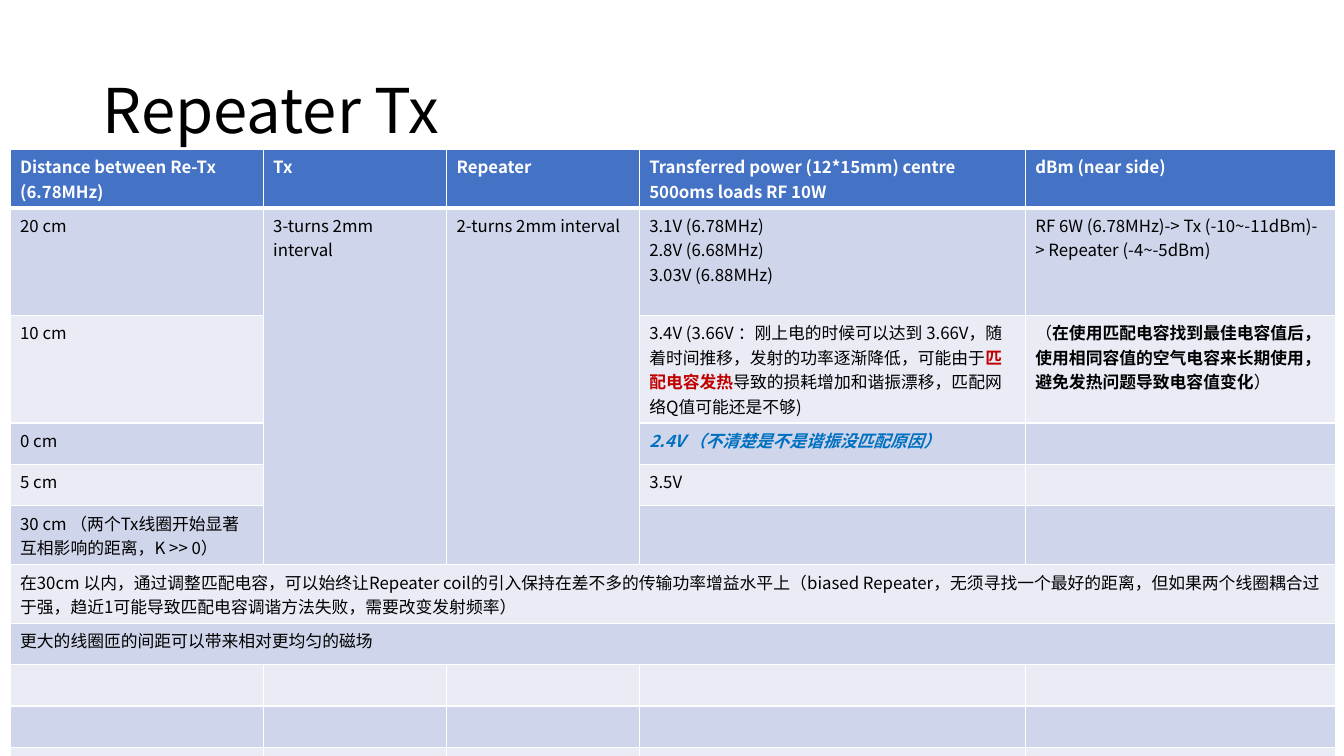
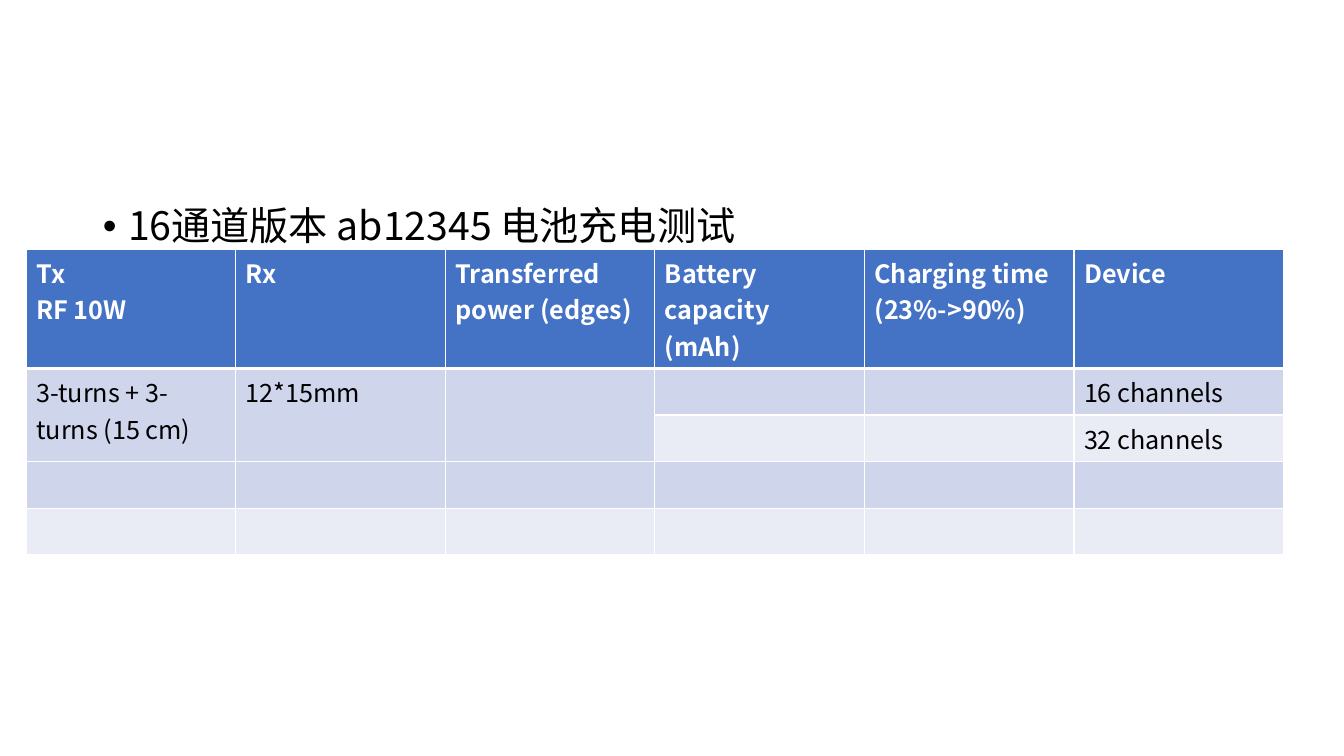
import pptx
import pptx.dml.color
import pptx.enum.text
import pptx.oxml.ns
import pptx.util
from dataclasses import dataclass
from lxml import etree

qn = pptx.oxml.ns.qn
SLIDE_W = pptx.util.Inches(13.33)
SLIDE_H = pptx.util.Inches(7.5)


@dataclass(frozen=True)
class Theme:
    font: str = "Noto Sans CJK SC"
    ink: str = "000000"
    white: str = "FFFFFF"
    header: str = "4472C4"
    bands: tuple = ("CFD5EA", "E9EBF5")
    alert: str = "C00000"
    doubt: str = "0070C0"
    title_size: int = 44
    body_size: int = 28
    table_size: int = 18
    small_size: int = 12
    line: float = 1
    header_line: float = 3
    row: float = 5.47  # percent of slide height


T = Theme()


def rgb(color):
    return pptx.dml.color.RGBColor.from_string(color)


def across(pct):
    return int(SLIDE_W * pct / 100)


def down(pct):
    return int(SLIDE_H * pct / 100)


def place(sp, left, top, width, height):
    """Position a shape by percentages of the slide."""
    sp.left, sp.top = across(left), down(top)
    sp.width, sp.height = across(width), down(height)


# Text
def add_text(p, text, size, color=T.ink, bold=False, italic=False):
    r = p.add_run()
    r.text = text
    f = r.font
    f.size, f.bold, f.italic, f.name = pptx.util.Pt(size), bold, italic, T.font
    f.color.rgb = rgb(color)
    etree.SubElement(r._r.get_or_add_rPr(), qn("a:ea"), typeface=T.font)


def size_empty(p, size):
    """Give an empty paragraph its type size, which sets the row height."""
    end = etree.SubElement(p._p, qn("a:endParaRPr"), sz=str(size * 100))
    for tag in ("a:latin", "a:ea"):
        etree.SubElement(end, qn(tag), typeface=T.font)


def placeholder_text(sp, text, size, box, anchor, bullet=False):
    place(sp, *box)
    tf = sp.text_frame
    tf.word_wrap = True
    tf.auto_size = pptx.enum.text.MSO_AUTO_SIZE.NONE
    tf.vertical_anchor = anchor
    p = tf.paragraphs[0]
    p.alignment = pptx.enum.text.PP_ALIGN.LEFT
    p.line_spacing = 0.9
    p.space_before = pptx.util.Pt(0)
    if bullet:
        pPr = p._p.get_or_add_pPr()
        indent = pptx.util.Inches(0.25)
        pPr.set("marL", str(indent))
        pPr.set("indent", str(-indent))
        etree.SubElement(pPr, qn("a:buFont"), typeface="Arial")
        etree.SubElement(pPr, qn("a:buChar"), char="•")
    add_text(p, text, size)


# Tables
def add_border(cell, side, width):
    ln = etree.SubElement(cell._tc.get_or_add_tcPr(), qn("a:ln" + side),
                          w=str(pptx.util.Pt(width)))
    fill = etree.SubElement(ln, qn("a:solidFill"))
    etree.SubElement(fill, qn("a:srgbClr"), val=T.white)


def format_cell(cell, content, row, size):
    """Fill a cell; content is lines of text or a list of (text, format) runs."""
    head = row == 0
    heavy = {(0, "B"), (1, "T")}
    for side in "LRTB":
        add_border(cell, side, T.header_line if (row, side) in heavy else T.line)
    cell.fill.solid()
    cell.fill.fore_color.rgb = rgb(T.header if head else T.bands[(row - 1) % 2])
    base = {"color": T.white, "bold": True} if head else {}
    if isinstance(content, str):
        lines = [[(line, {})] for line in content.split("\n")]
    else:
        lines = [content]
    tf = cell.text_frame
    for i, runs in enumerate(lines):
        p = tf.paragraphs[0] if i == 0 else tf.add_paragraph()
        for text, fmt in runs:
            if text:
                add_text(p, text, size, **{**base, **fmt})
            else:
                size_empty(p, size)


def add_grid(s, left, top, width, weights, rows, size, merges=(), tall=None):
    """Add a table; short rows are filled up with empty cells."""
    heights = [(tall or {}).get(i, T.row) for i in range(len(rows))]
    tbl = s.shapes.add_table(len(rows), len(weights), across(left), down(top),
                             across(width), down(sum(heights))).table
    for col, weight in zip(tbl.columns, weights):
        col.width = across(width * weight / sum(weights))
    for i, (row, height) in enumerate(zip(rows, heights)):
        tbl.rows[i].height = down(height)
        for j in range(len(weights)):
            format_cell(tbl.cell(i, j), row[j] if j < len(row) else "", i, size)
    for first, last in merges:
        tbl.cell(*first).merge(tbl.cell(*last))


# Slides
def repeater_slide(prs):
    s = prs.slides.add_slide(prs.slide_layouts[5])
    placeholder_text(s.shapes.title, "Repeater Tx", T.title_size,
                     (6.9, 5.33, 86.27, 19.33), pptx.enum.text.MSO_ANCHOR.MIDDLE)
    rows = [
        ["Distance between Re-Tx (6.78MHz)", "Tx", "Repeater",
         "Transferred power (12*15mm) centre 500oms loads RF 10W",
         "dBm (near side)"],
        ["20 cm", "3-turns 2mm interval", "2-turns 2mm interval",
         "3.1V (6.78MHz)\n2.8V (6.68MHz)\n3.03V (6.88MHz)",
         "RF 6W (6.78MHz)-> Tx (-10~-11dBm)-> Repeater (-4~-5dBm)"],
        ["10 cm", "", "",
         [("3.4V (3.66V ：刚上电的时候可以达到 3.66V，随着时间推移，"
           "发射的功率逐渐降低，可能由于", {}),
          ("匹配电容发热", {"color": T.alert, "bold": True}),
          ("导致的损耗增加和谐振漂移，匹配网络Q值可能还是不够)", {})],
         [("（", {}),
          ("在使用匹配电容找到最佳电容值后，使用相同容值的空气电容来长期使用，"
           "避免发热问题导致电容值变化", {"bold": True}),
          ("）", {})]],
        ["0 cm", "", "",
         [("2.4V （不清楚是不是谐振没匹配原因）",
           {"color": T.doubt, "bold": True, "italic": True})]],
        ["5 cm", "", "", "3.5V"],
        ["30 cm （两个Tx线圈开始显著互相影响的距离，K >> 0）"],
        ["在30cm 以内，通过调整匹配电容，可以始终让Repeater coil的引入保持在"
         "差不多的传输功率增益水平上（biased Repeater，无须寻找一个最好的距离，"
         "但如果两个线圈耦合过于强，趋近1可能导致匹配电容调谐方法失败，"
         "需要改变发射频率）"],
        ["更大的线圈匝的间距可以带来相对更均匀的磁场"],
        [], [], [],
    ]
    merges = [((1, c), (5, c)) for c in (1, 2)]
    merges += [((r, 0), (r, 4)) for r in (6, 7)]
    add_grid(s, 0.75, 19.73, 98.65, (2.51, 1.82, 1.91, 3.83, 3.08), rows,
             T.small_size, merges, tall={1: 14.2})


def charging_slide(prs):
    s = prs.slides.add_slide(prs.slide_layouts[1])
    title = s.shapes.title.element
    title.getparent().remove(title)
    placeholder_text(s.placeholders[1], "16通道版本 ab12345 电池充电测试",
                     T.body_size, (6.9, 26.67, 86.27, 63.47),
                     pptx.enum.text.MSO_ANCHOR.TOP, bullet=True)
    rows = [
        ["Tx\nRF 10W", "Rx", "Transferred power (edges)",
         "Battery capacity\n(mAh)", "Charging time\n(23%->90%)", "Device"],
        ["3-turns + 3-turns (15 cm)", "12*15mm", "", "", "", "16 channels"],
        ["", "", "", "", "", "32 channels"],
        [], [],
    ]
    merges = [((1, c), (2, c)) for c in range(3)]
    add_grid(s, 1.95, 32.93, 93.55, (1,) * 6, rows, T.table_size, merges)


def main():
    prs = pptx.Presentation()
    prs.slide_width, prs.slide_height = SLIDE_W, SLIDE_H
    repeater_slide(prs)
    charging_slide(prs)
    prs.save("out.pptx")


if __name__ == "__main__":
    main()
